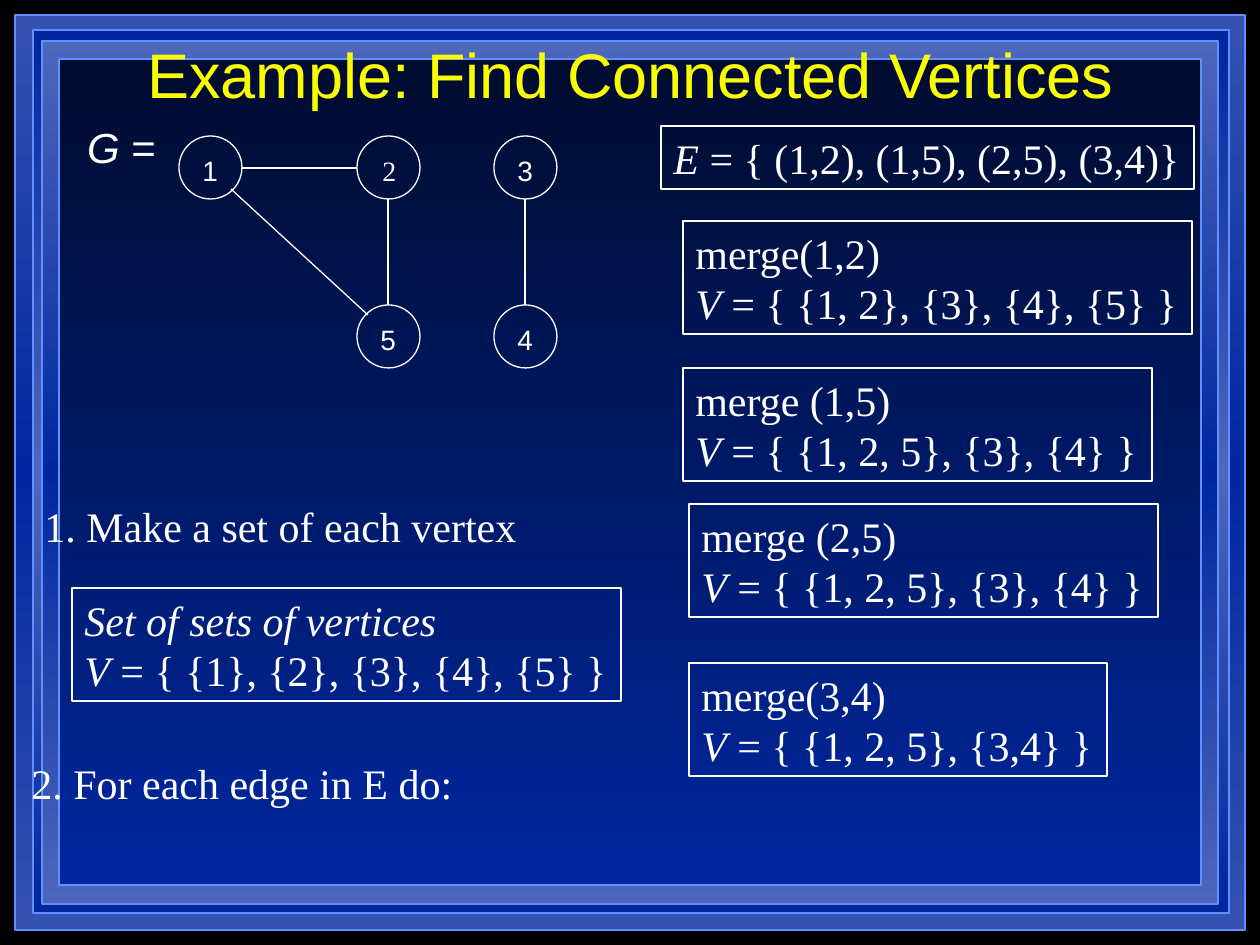
import copy
from typing import NamedTuple

import pptx
import pptx.dml.color
import pptx.enum.shapes
import pptx.enum.text
import pptx.oxml
import pptx.oxml.ns
import pptx.util
from pptx.dml.color import RGBColor

EMU_PER_PX = 914400 / 126

BLACK = RGBColor(0x00, 0x00, 0x00)
WHITE = RGBColor(0xFF, 0xFF, 0xFF)
YELLOW = RGBColor(0xFA, 0xFD, 0x00)
NAVY = RGBColor(0x00, 0x0C, 0x2F)
BLUE = RGBColor(0x00, 0x27, 0x9F)
MID_BLUE = RGBColor(0x33, 0x52, 0xB2)
LIGHT_BLUE = RGBColor(0x4C, 0x67, 0xBC)
FRAME_LINE = RGBColor(0x61, 0x8F, 0xFD)

SANS = "Arial"
SERIF = "Times New Roman"
NODE_SIZE = 63


class Box(NamedTuple):
    left: int
    top: int
    width: int
    height: int


class Frame(NamedTuple):
    box: Box
    colours: tuple[RGBColor, ...]


class Run(NamedTuple):
    text: str
    italic: bool = False


class Text(NamedTuple):
    box: Box
    lines: list[list[Run]]
    font: str = SERIF
    size: int = 24
    colour: RGBColor = WHITE
    outlined: bool = False
    centred: bool = False
    wrap: bool = False


class Vertex(NamedTuple):
    label: str
    left: int
    top: int
    font: str = SANS
    label_shift: int = 11


class Edge(NamedTuple):
    start: tuple[int, int]
    end: tuple[int, int]


def px(value: float) -> int:
    return round(value * EMU_PER_PX)


def set_line(line, colour: RGBColor, width: float) -> None:
    line.color.rgb = colour
    line.width = pptx.util.Pt(width)


def draw_frame(slide, frame: Frame) -> None:
    shape = slide.shapes.add_shape(
        pptx.enum.shapes.MSO_SHAPE.RECTANGLE, *map(px, frame.box))
    shape.shadow.inherit = False
    shape.fill.gradient()
    shape.fill.gradient_angle = 270
    stop_list = shape._element.spPr.find(".//" + pptx.oxml.ns.qn("a:gsLst"))
    while len(stop_list) < len(frame.colours):
        stop_list.append(copy.deepcopy(stop_list[0]))
    for index, stop in enumerate(shape.fill.gradient_stops):
        stop.color.rgb = frame.colours[index]
        stop.position = index / (len(frame.colours) - 1)
    set_line(shape.line, FRAME_LINE, 1)


def draw_text(slide, text: Text) -> None:
    shape = slide.shapes.add_textbox(*map(px, text.box))
    if text.outlined:
        set_line(shape.line, WHITE, 0.75)
    text_frame = shape.text_frame
    text_frame.word_wrap = text.wrap
    if text.centred:
        text_frame.vertical_anchor = pptx.enum.text.MSO_ANCHOR.MIDDLE
    else:
        text_frame.auto_size = pptx.enum.text.MSO_AUTO_SIZE.SHAPE_TO_FIT_TEXT
    for index, line in enumerate(text.lines):
        paragraph = text_frame.add_paragraph() if index else text_frame.paragraphs[0]
        if text.centred:
            paragraph.alignment = pptx.enum.text.PP_ALIGN.CENTER
        for part in line:
            run = paragraph.add_run()
            run.text = part.text
            run.font.name = text.font
            run.font.size = pptx.util.Pt(text.size)
            run.font.italic = part.italic
            run.font.color.rgb = text.colour


def draw_vertex(slide, vertex: Vertex) -> None:
    circle = slide.shapes.add_shape(
        pptx.enum.shapes.MSO_SHAPE.OVAL,
        *map(px, (vertex.left, vertex.top, NODE_SIZE, NODE_SIZE)))
    circle.shadow.inherit = False
    circle.fill.background()
    set_line(circle.line, WHITE, 0.75)
    label_box = Box(vertex.left + vertex.label_shift, vertex.top + 11, 41, 47)
    draw_text(slide, Text(label_box, [[Run(vertex.label)]], vertex.font, 16))


def draw_edge(slide, edge: Edge) -> None:
    connector = slide.shapes.add_connector(
        pptx.enum.shapes.MSO_CONNECTOR.STRAIGHT,
        *map(px, edge.start + edge.end))
    set_line(connector.line, WHITE, 0.75)
    connector._element.spPr.append(pptx.oxml.parse_xml(
        f"<a:effectLst {pptx.oxml.ns.nsdecls('a')}/>"))


def equation(name: str, value: str) -> list[Run]:
    return [Run(name, True), Run(f" = {value}")]


FRAMES = [
    Frame(Box(15, 15, 1230, 915), (MID_BLUE, BLUE, MID_BLUE)),
    Frame(Box(33, 30, 1196, 883), (BLUE, LIGHT_BLUE, BLUE)),
    Frame(Box(42, 41, 1176, 863), (LIGHT_BLUE, BLUE, LIGHT_BLUE)),
    Frame(Box(59, 59, 1142, 826), (NAVY, BLUE)),
]

VERTICES = [
    Vertex("1", 179, 136),
    Vertex("2", 357, 136, SERIF, 13),
    Vertex("5", 357, 305),
    Vertex("4", 494, 305),
    Vertex("3", 494, 136),
]

EDGES = [
    Edge((231, 189), (368, 315)),
    Edge((242, 168), (357, 168)),
    Edge((388, 305), (388, 199)),
    Edge((525, 305), (525, 199)),
]

MERGES = [
    (Box(683, 221, 509, 113), "merge(1,2)", "{ {1, 2}, {3}, {4}, {5} }"),
    (Box(683, 368, 469, 113), "merge (1,5)", "{ {1, 2, 5}, {3}, {4} }"),
    (Box(689, 504, 469, 113), "merge (2,5)", "{ {1, 2, 5}, {3}, {4} }"),
    (Box(689, 663, 418, 113), "merge(3,4)", "{ {1, 2, 5}, {3,4} }"),
]

TEXTS = [
    Text(Box(95, 31, 1071, 84), [[Run("Example: Find Connected Vertices")]],
         SANS, 36, YELLOW, centred=True, wrap=True),
    Text(Box(63, 115, 119, 63), [[Run(" "), Run("G", True), Run(" =")]], SANS),
    Text(Box(72, 588, 549, 113),
         [[Run("Set of sets of vertices", True)],
          equation("V", "{ {1}, {2}, {3}, {4}, {5} }")], outlined=True),
    Text(Box(661, 126, 533, 63),
         [equation("E", "{ (1,2), (1,5), (2,5), (3,4)}")],
         outlined=True, wrap=True),
    Text(Box(32, 494, 502, 63), [[Run("1. Make a set of each vertex")]]),
    Text(Box(19, 751, 449, 63), [[Run("2. For each edge in E do:")]]),
]


def main() -> None:
    presentation = pptx.Presentation()
    presentation.slide_width = px(1260)
    presentation.slide_height = px(945)
    slide = presentation.slides.add_slide(presentation.slide_layouts[6])
    slide.background.fill.solid()
    slide.background.fill.fore_color.rgb = BLACK

    # Nested border frames
    for frame in FRAMES:
        draw_frame(slide, frame)

    # Graph
    for vertex in VERTICES:
        draw_vertex(slide, vertex)
    for edge in EDGES:
        draw_edge(slide, edge)

    # Title, steps and sets
    for text in TEXTS:
        draw_text(slide, text)

    # Result of each merge
    for box, call, sets in MERGES:
        draw_text(slide, Text(box, [[Run(call)], equation("V", sets)],
                              outlined=True))

    presentation.save("out.pptx")


if __name__ == "__main__":
    main()
